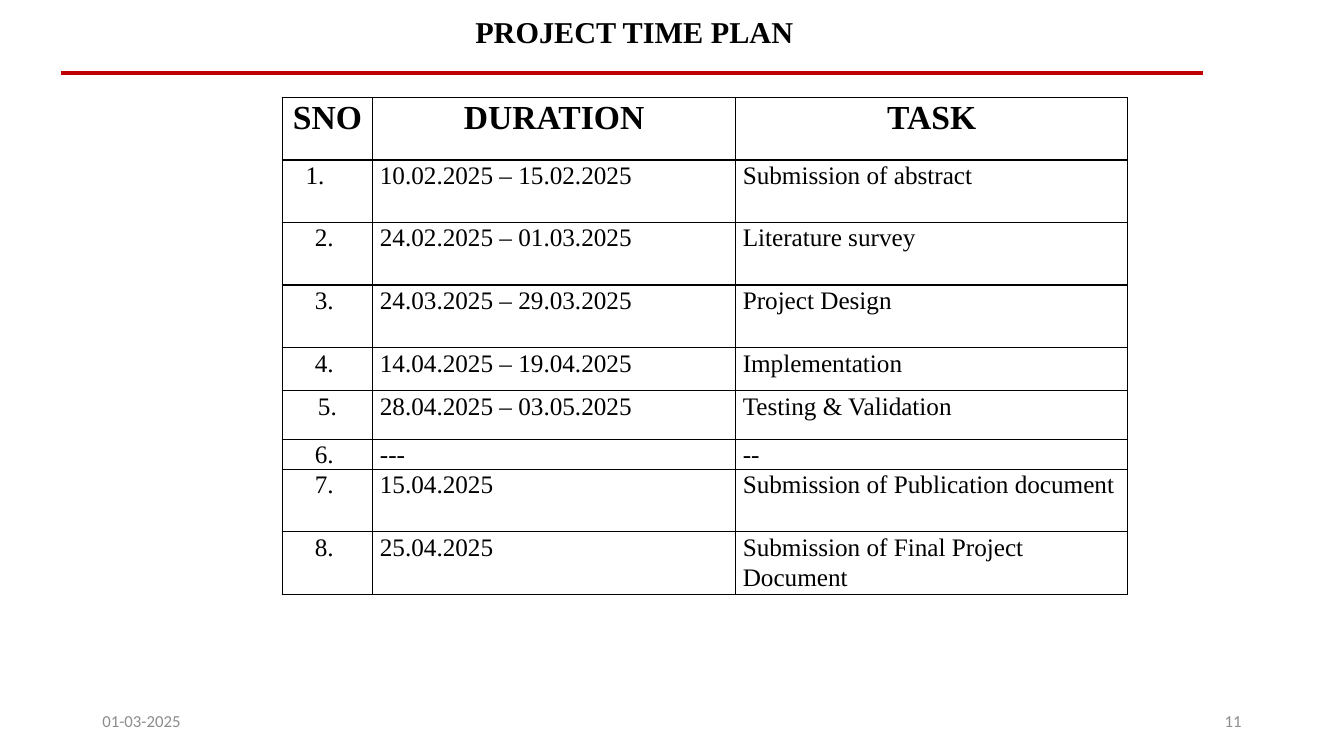
from dataclasses import dataclass

from lxml.etree import SubElement
from pptx import Presentation
from pptx.dml.color import RGBColor as RGB
from pptx.enum.shapes import MSO_CONNECTOR as Link
from pptx.enum.text import MSO_ANCHOR as Anchor, MSO_AUTO_SIZE as Fit, PP_ALIGN as Align
from pptx.oxml.ns import qn
from pptx.util import Pt


@dataclass(frozen=True)
class Theme:
    serif: str = "Times New Roman"
    sans: str = "Calibri"
    ink: str = "000000"
    grey: str = "8C8C8C"
    red: str = "C00000"
    title: float = 21.6
    head: float = 24
    body: float = 18
    foot: float = 12


def write(frame, text, font, size, color, bold=False, align=Align.LEFT, space=1.0):
    """Put one formatted paragraph in a text frame."""
    para = frame.paragraphs[0]
    para.alignment, para.line_spacing = align, space
    run = para.add_run()
    run.text = text
    run.font.name, run.font.size, run.font.bold = font, Pt(size), bold
    run.font.color.rgb = RGB.from_string(color)
    return para


class Page:
    def __init__(self, deck, theme):
        self.theme = theme
        self.slide = deck.slides.add_slide(deck.slide_layouts[5])
        self.shapes = self.slide.shapes

    def title(self, text, left, top, width, height):
        box = self.shapes.title
        box.left, box.top, box.width, box.height = map(Pt, (left, top, width, height))
        frame = box.text_frame
        frame.auto_size, frame.vertical_anchor = Fit.NONE, Anchor.MIDDLE
        t = self.theme
        write(frame, text, t.serif, t.title, t.ink, True, Align.CENTER, 0.9)

    def foot(self, text, left, top, width, height, align):
        frame = self.shapes.add_textbox(*map(Pt, (left, top, width, height))).text_frame
        frame.word_wrap, frame.vertical_anchor = True, Anchor.MIDDLE
        t = self.theme
        write(frame, text, t.sans, t.foot, t.grey, align=align)

    def rule(self, left, right, y, weight):
        line = self.shapes.add_connector(Link.STRAIGHT, Pt(left), Pt(y), Pt(right), Pt(y))
        line.line.color.rgb = RGB.from_string(self.theme.red)
        line.line.width = Pt(weight)
        SubElement(line._element.spPr, qn("a:effectLst"))

    def border(self, cell, weight=1):
        props = cell._tc.get_or_add_tcPr()
        for side in ("lnL", "lnR", "lnT", "lnB"):
            edge = SubElement(props, qn(f"a:{side}"), w=str(Pt(weight)))
            fill = SubElement(edge, qn("a:solidFill"))
            SubElement(fill, qn("a:srgbClr"), val=self.theme.ink)

    def table(self, rows, left, top, widths, heights):
        grid = self.shapes.add_table(
            len(rows), len(widths), Pt(left), Pt(top), Pt(sum(widths)), Pt(sum(heights))
        ).table
        grid.first_row = grid.horz_banding = False
        for col, width in zip(grid.columns, widths):
            col.width = Pt(width)
        for row, height in zip(grid.rows, heights):
            row.height = Pt(height)
        t = self.theme
        for r, row in enumerate(rows):
            for c, text in enumerate(row):
                cell = grid.cell(r, c)
                cell.margin_left = cell.margin_right = Pt(5.2)
                cell.margin_top = cell.margin_bottom = 0
                self.border(cell)
                cell.fill.background()
                head = r == 0
                # The first number is indented, the others are centred
                mid = head or (c == 0 and r > 1)
                para = write(cell.text_frame, text, t.serif, t.head if head else t.body,
                             t.ink, head, Align.CENTER if mid else Align.LEFT, 1.07)
                if (r, c) == (1, 0):
                    para._p.get_or_add_pPr().set("marL", str(Pt(11.5)))


PLAN = [
    ("SNO", "DURATION", "TASK"),
    ("1.", "10.02.2025 – 15.02.2025", "Submission of abstract"),
    ("2. ", "24.02.2025 – 01.03.2025", "Literature survey"),
    ("3. ", "24.03.2025 – 29.03.2025", "Project Design"),
    ("4. ", "14.04.2025 – 19.04.2025", "Implementation"),
    ("5.", "28.04.2025 – 03.05.2025", "Testing & Validation"),
    ("6. ", "---", "--"),
    ("7. ", "15.04.2025", "Submission of Publication document"),
    ("8. ", "25.04.2025", "Submission of Final Project Document"),
]


def main():
    deck = Presentation()
    deck.slide_width, deck.slide_height = Pt(960), Pt(540)
    page = Page(deck, Theme())

    # Heading and rule
    page.title("PROJECT TIME PLAN ", 274.3, 8, 363, 31.5)
    page.rule(43.4, 859.4, 52.4, 3)

    # Time plan
    tall = 44.7
    page.table(PLAN, 201.6, 69.6, [64.6, 259.2, 280.2],
               [tall] * 4 + [30.9, 34.6, 21.4] + [tall] * 2)

    # Date and page number
    page.foot("01-03-2025", 66, 500.5, 216, 28.8, Align.LEFT)
    page.foot("11", 678, 500.5, 216, 28.8, Align.RIGHT)

    deck.save("out.pptx")


if __name__ == "__main__":
    main()
